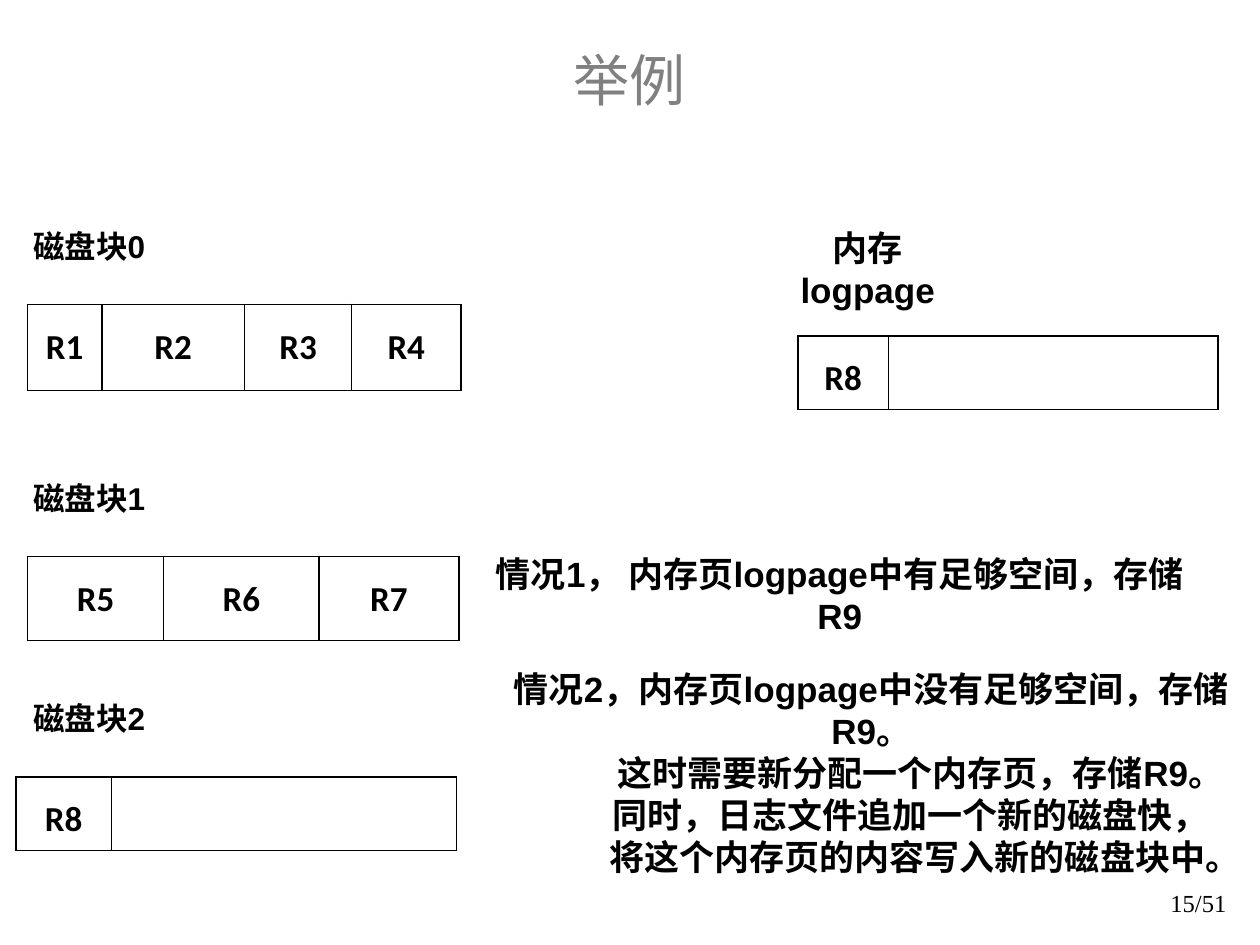
from lxml import etree
from pptx import Presentation
from pptx.dml.color import RGBColor
from pptx.enum.text import MSO_ANCHOR, PP_ALIGN as Align
from pptx.oxml.ns import qn
from pptx.util import Inches, Pt

BLACK = RGBColor(0, 0, 0)
GRAY = RGBColor(0x80, 0x80, 0x80)


class SlideBuilder:
    """Holds the style and the slide; lengths are in grid units of 1/12 inch."""

    def __init__(self, presentation):
        self.slide = presentation.slides.add_slide(presentation.slide_layouts[5])

    def grid(self, *units):
        return [Inches(unit / 12) for unit in units]

    def format(self, paragraph, size, font="Arial", color=BLACK, bold=True, align=Align.CENTER):
        paragraph.alignment = align
        for run in paragraph.runs:
            run.font.size = Pt(size)
            run.font.name = font
            run.font.bold = bold
            run.font.color.rgb = color

    def title(self, text, *box):
        shape = self.slide.shapes.title
        shape.left, shape.top, shape.width, shape.height = self.grid(*box)
        shape.text_frame.text = text
        shape.text_frame.vertical_anchor = MSO_ANCHOR.MIDDLE
        self.format(shape.text_frame.paragraphs[0], 32, color=GRAY, bold=False)

    def text(self, lines, *box, size=20, wrap=True, right_inset=1.2, indents=(), **style):
        text_frame = self.slide.shapes.add_textbox(*self.grid(*box)).text_frame
        text_frame.word_wrap = wrap
        text_frame.margin_right = self.grid(right_inset)[0]
        text_frame.text = "\n".join(lines)
        for paragraph in text_frame.paragraphs:
            self.format(paragraph, size, **style)
        for paragraph, indent in zip(text_frame.paragraphs, indents):
            paragraph._p.get_or_add_pPr().set("marL", str(self.grid(indent)[0]))

    def border(self, cell):
        properties = cell._tc.get_or_add_tcPr()
        for position, side in enumerate(("lnL", "lnR", "lnT", "lnB")):
            line = etree.Element(qn(f"a:{side}"), w=str(Pt(1)))
            fill = etree.SubElement(line, qn("a:solidFill"))
            etree.SubElement(fill, qn("a:srgbClr"), val=str(BLACK))
            properties.insert(position, line)

    def records(self, names, widths, left, top, height):
        """Draw one block as a single-row table of log records."""
        box = self.grid(left, top, sum(widths), height)
        table = self.slide.shapes.add_table(1, len(names), *box).table
        table.first_row = table.horz_banding = False
        for column, width in zip(table.columns, self.grid(*widths)):
            column.width = width
        for cell, name in zip(table.rows[0].cells, names):
            cell.fill.background()
            cell.margin_left = cell.margin_right = Inches(0.07)
            cell.margin_top = cell.margin_bottom = 0
            cell.text_frame.text = name
            paragraph = cell.text_frame.paragraphs[0]
            paragraph.line_spacing = 1.5
            self.format(paragraph, 20, font="Calibri")
            self.border(cell)


def main():
    presentation = Presentation()
    presentation.slide_width, presentation.slide_height = Inches(10), Inches(7.5)
    builder = SlideBuilder(presentation)

    # Title and page number
    builder.title("举例", 9, 0, 102, 15)
    builder.text(["15/51"], 93, 84, 25, 6, size=14, font="Times New Roman",
                 bold=False, align=Align.RIGHT)

    # Disk blocks
    for number, top in enumerate((21, 45, 66)):
        builder.text([f"磁盘块{number}"], 1.5, top, 14, 4.8, size=18, wrap=False)
    builder.records(["R1", "R2", "R3", "R4"], [7.1, 13.6, 10.2, 10.4], 2.6, 29, 8.2)
    builder.records(["R5", "R6", "R7"], [13, 14.8, 13.3], 2.6, 53, 8)
    builder.records(["R8", ""], [9.1, 32.9], 1.5, 74, 7)

    # Log page in memory
    builder.text(["内存logpage"], 75, 21, 22, 5.3, right_inset=7.9)
    builder.records(["R8", ""], [8.6, 31.4], 76, 32, 7)

    # The two cases
    builder.text(["情况1， 内存页logpage中有足够空间，存储R9"], 44, 52, 73.2, 5.3, right_inset=2.4)
    builder.text(["情况2，内存页logpage中没有足够空间，存储R9。",
                  "这时需要新分配一个内存页，存储R9。",
                  "同时，日志文件追加一个新的磁盘快，",
                  "将这个内存页的内容写入新的磁盘块中。"],
                 44, 63, 78, 17.4, indents=(0, 9.3, 7.4, 10.2))

    presentation.save("out.pptx")


if __name__ == "__main__":
    main()
